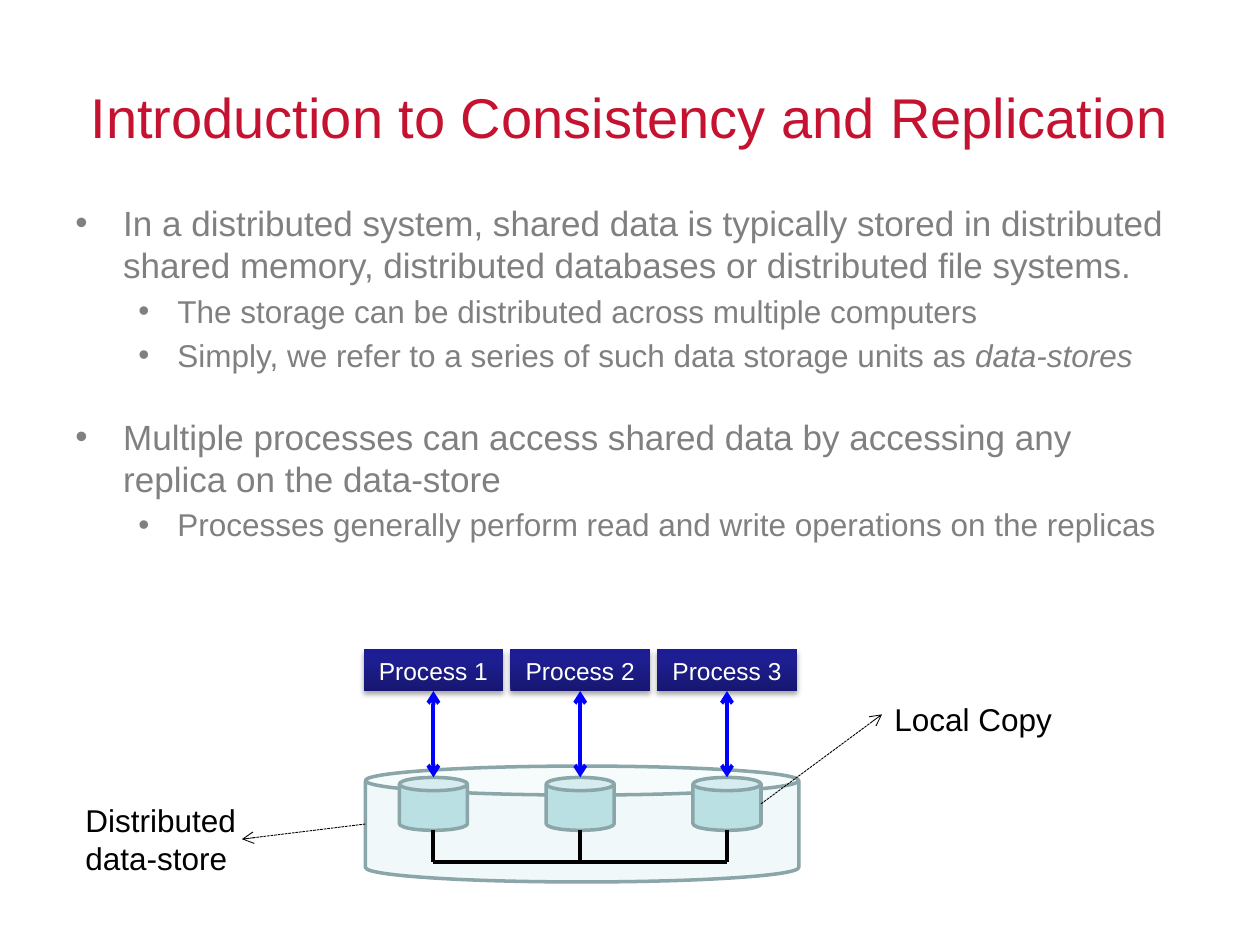
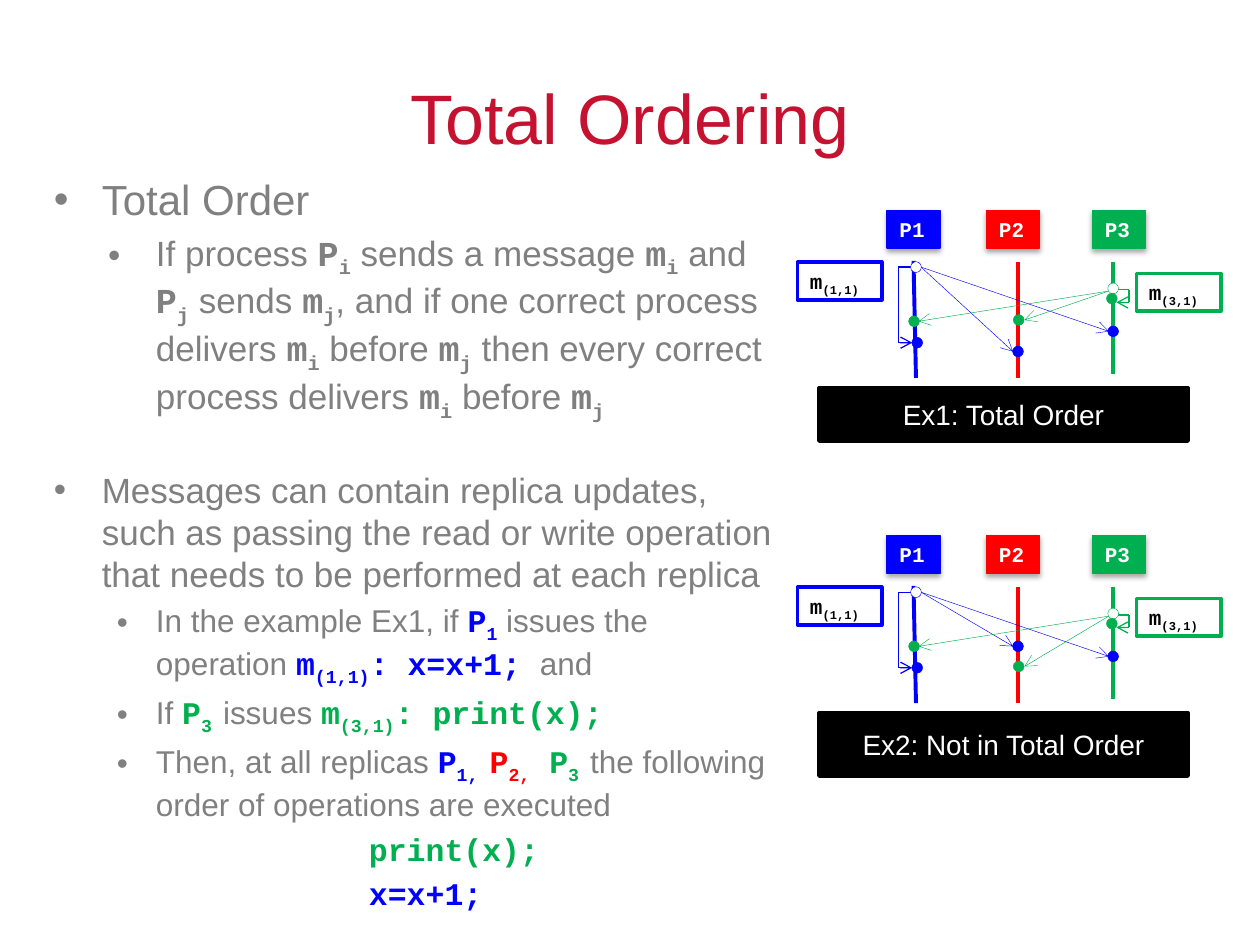
from collections import namedtuple
from lxml.etree import SubElement as Sub
from pptx import Presentation
from pptx.dml.color import RGBColor as RGB
from pptx.enum.dml import MSO_LINE as Dash
from pptx.enum.shapes import MSO_CONNECTOR as Conn, MSO_SHAPE as Kind
from pptx.enum.text import MSO_ANCHOR as Anchor, PP_ALIGN as Align
from pptx.oxml.ns import qn
from pptx.util import Inches, Pt

# Slide size and a grid of 100 columns by 75 rows
WIDE, HIGH = Inches(10), Inches(7.5)
COLS, ROWS = 100, 75

SANS, MONO = "Arial", "Courier New"
CRIMSON = RGB(0xC4, 0x12, 0x30)
GREY = RGB(0x80, 0x80, 0x80)
BLACK = RGB(0, 0, 0)
WHITE = RGB(0xFF, 0xFF, 0xFF)
BLUE = RGB(0, 0, 0xFF)
RED = RGB(0xFF, 0, 0)
GREEN = RGB(0, 0xB0, 0x50)
AQUA = RGB(0xBB, 0xE0, 0xE3)
STEEL = RGB(0x8A, 0xA6, 0xA8)
NAVY = ((0, RGB(0x17, 0x17, 0x71)), (80, RGB(0x1E, 0x1E, 0x93)),
        (100, RGB(0x1C, 0x1C, 0x96)))

# Paragraph levels: left margin, first-line indent (columns), bullet
Level = namedtuple("Level", "left first dot")
TOP = Level(3.8, -3.8, True)
SUB = Level(8.1, -3.1, True)
WIDE_SUB = Level(8.1, -3.8, True)
CODE = Level(25, 0, False)

Run = namedtuple("Run", "text font color bold low ital",
                 defaults=(SANS, GREY, False, False, False))


def col(n):
    return round(WIDE * n / COLS)


def row(n):
    return round(HIGH * n / ROWS)


def place(x, y, w, h):
    return col(x), row(y), col(w), row(h)


# Text

def code(text, color=GREY, low=False):
    return Run(text, MONO, color, True, low)


def var(name, index, color=GREY):
    """A code name followed by its subscript."""
    return [code(name, color), code(index, color, True)]


def add_runs(para, size, runs):
    for item in runs:
        run = para.add_run()
        run.text = item.text
        font = run.font
        font.name, font.size = item.font, Pt(size)
        font.bold, font.italic = item.bold, item.ital
        font.color.rgb = item.color
        if item.low:
            run._r.get_or_add_rPr().set("baseline", "-25000")


def set_text(shape, size, runs, align=Align.LEFT, anchor=Anchor.TOP):
    frame = shape.text_frame
    frame.word_wrap = True
    frame.vertical_anchor = anchor
    para = frame.paragraphs[0]
    para.alignment = align
    add_runs(para, size, runs)


def add_label(shapes, box, size, run, **look):
    label = shapes.add_textbox(*place(*box))
    set_text(label, size, [run], **look)


def add_title(slide, text, size):
    add_label(slide.shapes, (5, 3, 90, 12.5), size, Run(text, color=CRIMSON),
              align=Align.CENTER, anchor=Anchor.MIDDLE)


def add_body(slide, box, paras):
    """Each paragraph is (level, size, extra space before, runs)."""
    frame = slide.shapes.add_textbox(*place(*box)).text_frame
    frame.word_wrap = True
    for n, (level, size, extra, runs) in enumerate(paras):
        para = frame.add_paragraph() if n else frame.paragraphs[0]
        if n:
            para.space_before = Pt(0.2 * size + extra)
        props = para._p.get_or_add_pPr()
        props.set("marL", str(col(level.left)))
        props.set("indent", str(col(level.first)))
        if level.dot:
            Sub(props, qn("a:buFont"), typeface=SANS)
            Sub(props, qn("a:buChar"), char="•")
        add_runs(para, size, runs)


# Shapes and lines

def add_block(shapes, kind, box, fill=None, edge=None, width=2):
    block = shapes.add_shape(kind, *place(*box))
    block.shadow.inherit = False
    if fill is not None:
        block.fill.solid()
        block.fill.fore_color.rgb = fill
    if edge is None:
        block.line.fill.background()
    else:
        block.line.color.rgb = edge
        block.line.width = Pt(width)
    return block


def add_shade(block):
    effects = block._element.spPr.find(qn("a:effectLst"))
    outer = Sub(effects, qn("a:outerShdw"), blurRad=str(Pt(3.1)),
                dist=str(Pt(1.8)), dir="5400000", rotWithShape="0")
    black = Sub(outer, qn("a:srgbClr"), val=str(BLACK))
    Sub(black, qn("a:alpha"), val="35000")


def add_blend(block, stops):
    block.fill.gradient()
    block.fill.gradient_angle = 90
    group = block._element.spPr.find(".//" + qn("a:gsLst"))
    group.clear()
    for share, color in stops:
        stop = Sub(group, qn("a:gs"), pos=str(share * 1000))
        Sub(stop, qn("a:srgbClr"), val=str(color))


def fade(block, share):
    color = block._element.spPr.find(qn("a:solidFill"))[0]
    Sub(color, qn("a:alpha"), val=str(share * 1000))


def add_line(shapes, start, end, color, width, head=False, tail=False,
             dash=False):
    line = shapes.add_connector(Conn.STRAIGHT, col(start[0]), row(start[1]),
                                col(end[0]), row(end[1]))
    line.line.color.rgb = color
    line.line.width = Pt(width)
    if dash:
        line.line.dash_style = Dash.SQUARE_DOT
    stroke = line.line._get_or_add_ln()
    for shown, tag in ((head, "a:headEnd"), (tail, "a:tailEnd")):
        if shown:
            Sub(stroke, qn(tag), type="arrow")
    Sub(line._element.spPr, qn("a:effectLst"))
    return line


def add_dot(shapes, x, y, edge, fill, size=0.86):
    box = (x - size / 2, y - size / 2, size, size)
    add_block(shapes, Kind.OVAL, box, fill, edge, 0.25)


# Slide 1: processes above the data-store

def draw_store(shapes):
    first, step, bus = 34.4, 11.65, 68.4
    mids = [first + step * n for n in range(3)]
    for x in mids:
        add_block(shapes, Kind.CAN, (x - 2.7, 61.7, 5.4, 4.2), AQUA, STEEL)
    add_line(shapes, (mids[0], bus), (mids[-1], bus), BLACK, 2.25)
    for n, x in enumerate(mids, 1):
        add_line(shapes, (x, 65.9), (x, bus), BLACK, 2.25)
        box = add_block(shapes, Kind.RECTANGLE, (x - 5.55, 51.55, 11.1, 3.3))
        add_blend(box, NAVY)
        add_shade(box)
        set_text(box, 14, [Run(f"Process {n}", color=WHITE)],
                 Align.CENTER, Anchor.MIDDLE)
        link = add_line(shapes, (x, 54.9), (x, 61.7), BLUE, 2.25,
                        head=True, tail=True)
        link.begin_connect(box, 2)

    # Callouts
    for start, end in (((60.4, 63.8), (70, 56.7)), ((29, 65.4), (19.2, 66.6))):
        add_line(shapes, start, end, BLACK, 0.5, tail=True, dash=True)
    add_label(shapes, (70, 55.1, 15, 4), 18, Run("Local Copy", color=BLACK))
    add_label(shapes, (5.8, 63.1, 15, 7.1), 18,
              Run("Distributed data-store", color=BLACK))


def intro(slide):
    shell = add_block(slide.shapes, Kind.CAN, (29, 60.8, 34.4, 9.2),
                      AQUA, STEEL)
    fade(shell, 20)
    add_title(slide, "Introduction to Consistency and Replication", 32)
    add_body(slide, (5, 15.5, 90, 53.7), [
        (TOP, 20, 0, [Run("In a distributed system, shared data is typically "
                          "stored in distributed shared memory, distributed "
                          "databases or distributed file systems.")]),
        (SUB, 18, 0, [Run("The storage can be distributed across multiple "
                          "computers")]),
        (SUB, 18, 0, [Run("Simply, we refer to a series of such data storage "
                          "units as "), Run("data-stores", ital=True)]),
        (TOP, 20, 19.7, [Run("Multiple processes can access shared data by "
                             "accessing any replica on the data-store")]),
        (SUB, 18, 0, [Run("Processes generally perform read and write "
                          "operations on the replicas")]),
    ])
    draw_store(slide.shapes)


# Slide 2: message timelines

def draw_order(slide, top, blue, green, deep, text):
    """blue and green: rows below top where P2 gets each message."""
    shapes = slide.shapes.add_group_shape().shapes

    # Timelines and process tags
    lanes = ((72.5, 72.7, 4, 13.3, BLUE), (80.8, 80.8, 4.1, 13.3, RED),
             (88.3, 88.3, 4.1, 13, GREEN))
    for n, (x, foot, start, end, color) in enumerate(lanes, 1):
        add_line(shapes, (x, top + start), (foot, top + end), color, 2.25)
        tag = add_block(shapes, Kind.RECTANGLE,
                        ((70.4, 78.3, 86.7)[n - 1], top, 4.2, 3),
                        color, color, 0.75)
        add_shade(tag)
        set_text(tag, 12, [code(f"P{n}", WHITE)])

    # Message names
    for x, y, index, color in ((63.3, 4.1, "(1,1)", BLUE),
                               (90.2, 5, "(3,1)", GREEN)):
        note = add_block(shapes, Kind.RECTANGLE, (x, top + y, 6.7, 3),
                         WHITE, color)
        set_text(note, 12, var("m", index, BLACK))

    # Messages to the other processes
    sends = (((73.1, 4.5), (80.4, blue), BLUE), ((73.1, 4.5), (88, 9.6), BLUE),
             ((88, 6.4), (81.3, green), GREEN),
             ((88, 6.4), (72.9, 8.8), GREEN))
    for (x1, y1), (x2, y2), color in sends:
        add_line(shapes, (x1, top + y1), (x2, top + y2), color, 0.25,
                 tail=True)

    # Messages to the sender itself
    loops = ((71.3, 4.5, 72.3, 10.5, 72.4, BLUE),
             (89.6, 6.3, 88.7, 7.3, 88.6, GREEN))
    for x, start, near, end, tip, color in loops:
        add_line(shapes, (near, top + start), (x, top + start), color, 0.75)
        add_line(shapes, (x, top + start), (x, top + end), color, 0.75)
        add_line(shapes, (x, top + end), (tip, top + end), color, 0.75,
                 tail=True)

    # Send and delivery events
    events = ((72.7, 4.5, BLUE, WHITE), (88.35, 6.2, GREEN, WHITE),
              (80.8, blue, BLUE, BLUE), (80.85, green, GREEN, GREEN),
              (72.55, 8.8, GREEN, GREEN), (88.35, 9.6, BLUE, BLUE),
              (72.8, 10.5, BLUE, BLUE), (88.25, 7, GREEN, GREEN))
    for x, y, edge, fill in events:
        add_dot(shapes, x, top + y, edge, fill)

    name = add_block(shapes, Kind.RECTANGLE, (65, top + 14.1, 29.3, deep),
                     BLACK, BLACK)
    set_text(name, 16, [Run(text, color=WHITE)], Align.CENTER, Anchor.MIDDLE)


def order(slide):
    add_title(slide, "Total Ordering", 40)
    add_body(slide, (3.3, 13.3, 60, 59.2), [
        (TOP, 24, 0, [Run("Total Order")]),
        (WIDE_SUB, 20, 0, [
            Run("If process "), *var("P", "i"), Run(" sends a message "),
            *var("m", "i"), Run(" and "), *var("P", "j"), Run(" sends "),
            *var("m", "j"), Run(", and if one correct process delivers "),
            *var("m", "i"), Run(" before "), *var("m", "j"),
            Run(" then every correct process delivers "), *var("m", "i"),
            Run(" before "), *var("m", "j")]),
        (TOP, 20, 22.5, [Run("Messages can contain replica updates, such as "
                             "passing the read or write operation that needs "
                             "to be performed at each replica")]),
        (SUB, 18, 0, [
            Run("In the example Ex1, if "), *var("P", "1", BLUE),
            Run(" issues the operation "), *var("m", "(1,1)", BLUE),
            code(": x=x+1; ", BLUE), Run("and")]),
        (SUB, 18, 0, [
            Run("If "), *var("P", "3 ", GREEN), Run("issues "),
            *var("m", "(3,1)", GREEN), code(": print(x);", GREEN)]),
        (SUB, 18, 0, [
            Run("Then, at all replicas "), *var("P", "1, ", BLUE),
            *var("P", "2,", RED), *var(" P", "3 ", GREEN),
            Run("the following order of operations are executed")]),
        (CODE, 18, 0, [code("print(x);", GREEN)]),
        (CODE, 18, 0, [code("x=x+1;", BLUE)]),
    ])
    draw_order(slide, 16.7, 11.2, 8.7, 4.2, "Ex1: Total Order")
    draw_order(slide, 42.5, 8.8, 10.4, 5, "Ex2: Not in Total Order")


def main():
    deck = Presentation()
    deck.slide_width, deck.slide_height = WIDE, HIGH
    for draw in (intro, order):
        draw(deck.slides.add_slide(deck.slide_layouts[6]))
    deck.save("out.pptx")


if __name__ == "__main__":
    main()
